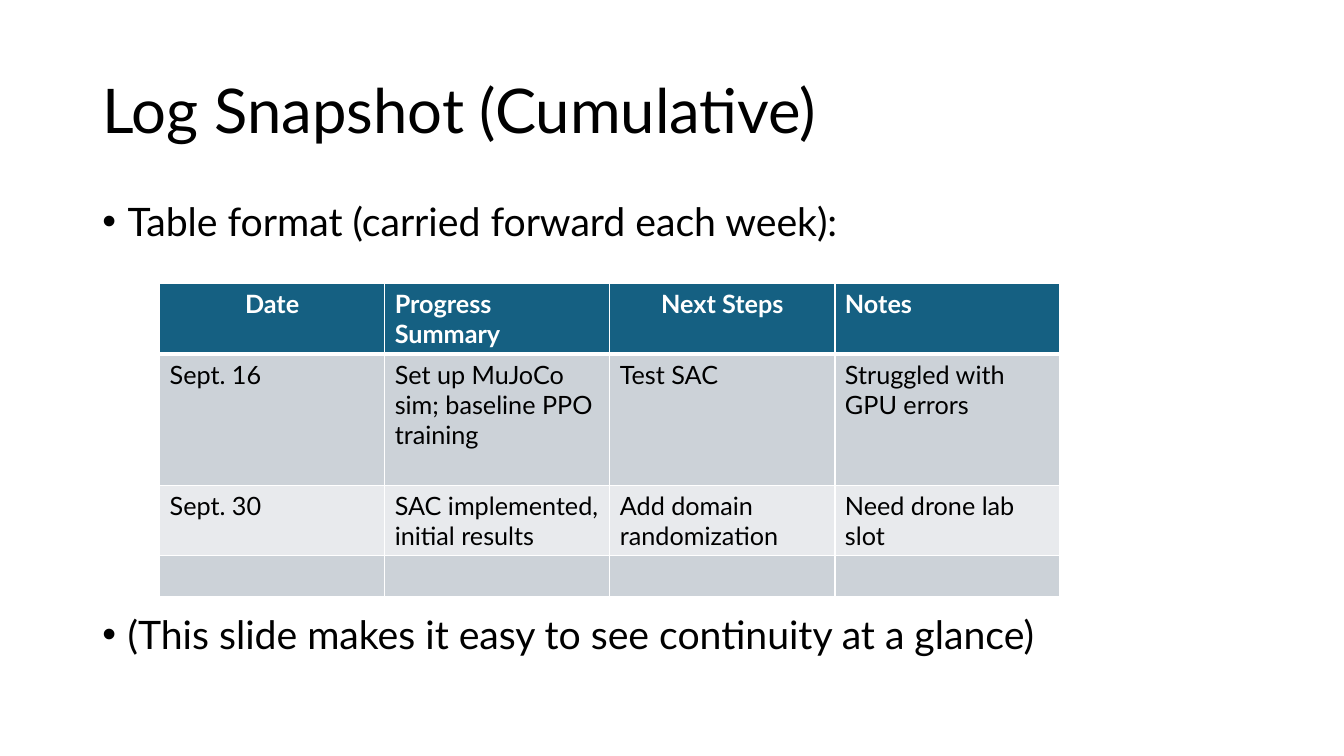
from dataclasses import dataclass

from lxml import etree
from pptx import Presentation
from pptx import util as u
from pptx.dml.color import RGBColor
from pptx.enum import text
from pptx.oxml.ns import qn

BLACK = RGBColor(0x00, 0x00, 0x00)
WHITE = RGBColor(0xFF, 0xFF, 0xFF)
TEAL = RGBColor(0x15, 0x60, 0x82)
GREY = RGBColor(0xCC, 0xD2, 0xD8)
PALE = RGBColor(0xE8, 0xEA, 0xED)
FONT = "Lato"
SLIDE_WIDTH, SLIDE_HEIGHT = u.Inches(13.333), u.Inches(7.5)
GRID_COLUMNS, GRID_ROWS = 160, 90
LOG_COLUMN = 26.8
THIN, THICK = 1, 3
LEFT, CENTER = text.PP_ALIGN.LEFT, text.PP_ALIGN.CENTER


@dataclass(frozen=True)
class Area:
    column: float
    row: float
    columns: float
    rows: float

    def box(self) -> tuple[int, int, int, int]:
        return across(self.column), down(self.row), across(self.columns), down(self.rows)


@dataclass(frozen=True)
class Bullet:
    wording: str
    space_before: float


@dataclass(frozen=True)
class LogRow:
    entries: tuple[str, ...]
    rows: float
    fill: RGBColor
    ink: RGBColor = BLACK
    bold: bool = False
    top: float = THIN
    bottom: float = THIN
    aligns: tuple = (LEFT,) * 4


BULLETS = (
    Bullet("Table format (carried forward each week):", 0),
    Bullet("(This slide makes it easy to see continuity at a glance)", 268),
)
LOG = (
    LogRow(("Date", "Progress Summary", "Next Steps", "Notes"), 8.35, TEAL, WHITE, True,
           bottom=THICK, aligns=(CENTER, LEFT, CENTER, LEFT)),
    LogRow(("Sept. 16", "Set up MuJoCo sim; baseline PPO training", "Test SAC",
            "Struggled with GPU errors"), 15.6, GREY, top=THICK),
    LogRow(("Sept. 30", "SAC implemented, initial results", "Add domain randomization",
            "Need drone lab slot"), 8.35, PALE),
    LogRow(("",) * 4, 4.9, GREY),
)


def across(columns: float) -> int:
    return round(SLIDE_WIDTH * columns / GRID_COLUMNS)


def down(rows: float) -> int:
    return round(SLIDE_HEIGHT * rows / GRID_ROWS)


def place(holder, area: Area) -> None:
    holder.left, holder.top, holder.width, holder.height = area.box()
    holder.text_frame.auto_size = text.MSO_AUTO_SIZE.NONE


def style(paragraph, size: float, ink: RGBColor, bold: bool = False, align=LEFT) -> None:
    paragraph.alignment = align
    font = paragraph.font
    font.name, font.size, font.bold = FONT, u.Pt(size), bold
    font.color.rgb = ink


def add_bullets(body, bullets: tuple[Bullet, ...]) -> None:
    frame = body.text_frame
    frame.text = "\n".join(bullet.wording for bullet in bullets)
    for paragraph, bullet in zip(frame.paragraphs, bullets):
        properties = paragraph._p.get_or_add_pPr()
        properties.set("marL", str(u.Inches(0.25)))
        properties.set("indent", str(-u.Inches(0.25)))
        paragraph.line_spacing = 0.8
        paragraph.space_before = u.Pt(bullet.space_before)
        style(paragraph, 28, BLACK)


def border(cell, top: float, bottom: float) -> None:
    properties = cell._tc.get_or_add_tcPr()
    sides = (("lnL", THIN), ("lnR", THIN), ("lnT", top), ("lnB", bottom))
    for position, (side, width) in enumerate(sides):
        line = etree.Element(qn(f"a:{side}"), w=str(u.Pt(width)))
        solid = etree.SubElement(line, qn("a:solidFill"))
        etree.SubElement(solid, qn("a:srgbClr"), val=str(WHITE))
        properties.insert(position, line)


def add_log(slide, log: tuple[LogRow, ...]) -> None:
    headings = len(log[0].entries)
    area = Area(19, 33.75, LOG_COLUMN * headings, sum(entry.rows for entry in log))
    table = slide.shapes.add_table(len(log), headings, *area.box()).table
    for column in table.columns:
        column.width = across(LOG_COLUMN)
    for table_row, log_row in zip(table.rows, log):
        table_row.height = down(log_row.rows)
        for cell, entry, align in zip(table_row.cells, log_row.entries, log_row.aligns):
            cell.text = entry
            cell.fill.solid()
            cell.fill.fore_color.rgb = log_row.fill
            border(cell, log_row.top, log_row.bottom)
            style(cell.text_frame.paragraphs[0], 18, log_row.ink, log_row.bold, align)


def main() -> None:
    deck = Presentation()
    deck.slide_width, deck.slide_height = SLIDE_WIDTH, SLIDE_HEIGHT
    slide = deck.slides.add_slide(deck.slide_layouts[1])
    title, body = slide.placeholders
    place(title, Area(11, 4.8, 138, 17.4))
    title.text_frame.text = "Log Snapshot (Cumulative)"
    heading = title.text_frame.paragraphs[0]
    heading.line_spacing = 0.9
    style(heading, 44, BLACK)
    place(body, Area(11, 24, 138, 57.1))
    add_bullets(body, BULLETS)
    add_log(slide, LOG)
    deck.save("out.pptx")


if __name__ == "__main__":
    main()
